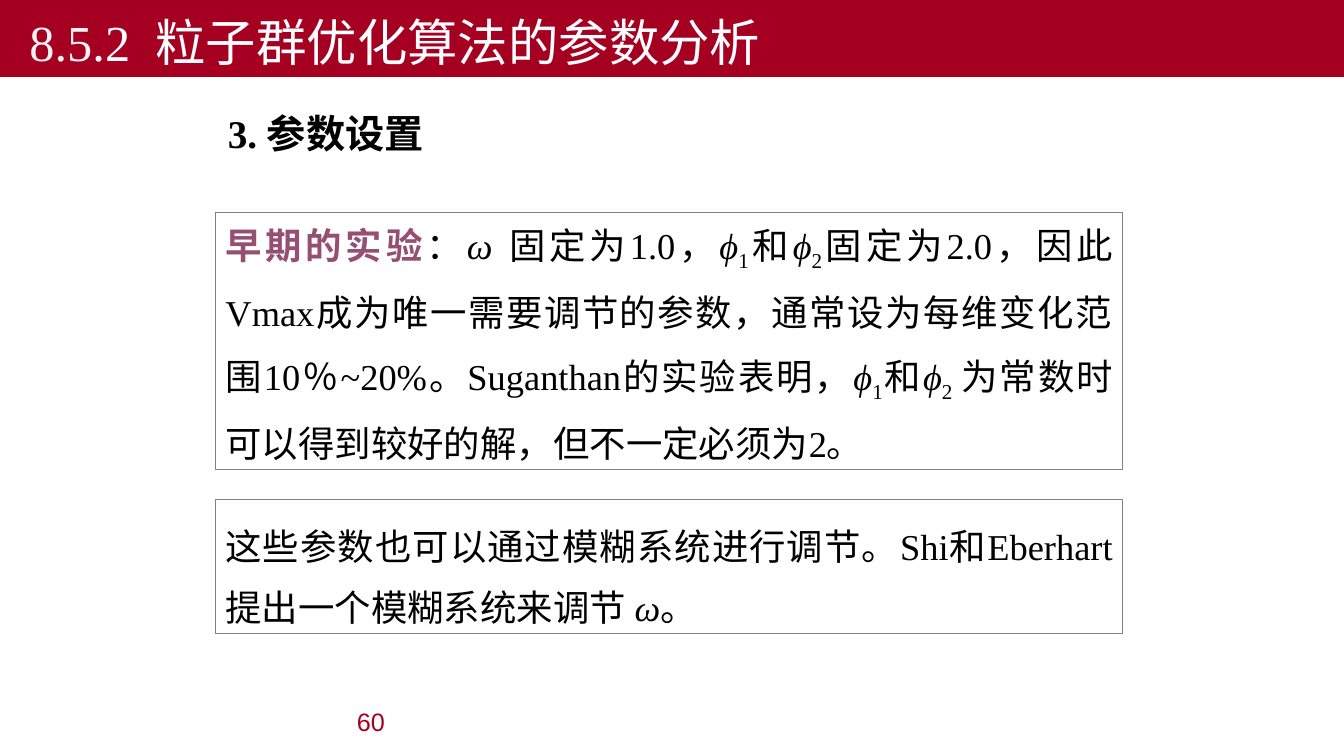
from dataclasses import dataclass

from lxml import etree
from pptx import Presentation
from pptx.dml.color import RGBColor
from pptx.enum.shapes import MSO_SHAPE
from pptx.enum.text import MSO_ANCHOR, MSO_AUTO_SIZE, PP_ALIGN
from pptx.oxml.ns import qn
from pptx.util import Pt

RECT = MSO_SHAPE.RECTANGLE
LEFT, RIGHT, FULL = PP_ALIGN.LEFT, PP_ALIGN.RIGHT, PP_ALIGN.JUSTIFY
TOP, MID, LOW = MSO_ANCHOR.TOP, MSO_ANCHOR.MIDDLE, MSO_ANCHOR.BOTTOM
FIXED = MSO_AUTO_SIZE.NONE


@dataclass
class Theme:
    red: str = "A50021"
    pale: str = "F2F2F2"
    white: str = "FFFFFF"
    black: str = "000000"
    gray: str = "808080"
    plum: str = "954F72"
    serif: str = "Times New Roman"
    sans: str = "Arial"
    hans: str = "Noto Sans CJK SC"
    title: int = 36
    head: int = 28
    text: int = 26
    foot: int = 18


class Page:
    """Holds the theme and the current slide, and adds each kind of element."""

    def __init__(self, deck, theme):
        self.theme = theme
        self.slide = deck.slides.add_slide(deck.slide_layouts[1])

    def place(self, shape, box):
        for name, value in zip(("left", "top", "width", "height"), box):
            setattr(shape, name, Pt(value))

    def paint(self, shape, color):
        shape.fill.solid()
        shape.fill.fore_color.rgb = RGBColor.from_string(color)

    def letter(self, shape, runs, size, color, anchor, para, font=None):
        frame = shape.text_frame
        frame.word_wrap = True
        frame.auto_size = FIXED
        frame.vertical_anchor = anchor
        line = frame.paragraphs[0]
        for name, value in para.items():
            setattr(line, name, value)
        for text, style in runs:
            run = line.add_run()
            run.text = text
            look = {"size": Pt(size), "name": font or self.theme.serif,
                    "bold": False, "italic": False}
            look.update(style)
            tint = look.pop("color", color)
            base = look.pop("base", None)
            for name, value in look.items():
                setattr(run.font, name, value)
            run.font.color.rgb = RGBColor.from_string(tint)
            props = run._r.get_or_add_rPr()
            etree.SubElement(props, qn("a:ea")).set("typeface", self.theme.hans)
            if base:
                props.set("baseline", base)

    def title(self, runs, box):
        shape = self.slide.shapes.title
        self.place(shape, box)
        self.paint(shape, self.theme.red)
        shape.text_frame.margin_left = Pt(21)
        self.letter(shape, runs, self.theme.title, self.theme.white, LOW,
                    {"alignment": LEFT})

    def head(self, runs, box):
        shape = self.slide.placeholders[1]
        self.place(shape, box)
        self.letter(shape, runs, self.theme.head, self.theme.black, TOP,
                    {"line_spacing": 0.9, "space_before": Pt(10)})
        props = shape.text_frame.paragraphs[0]._p.get_or_add_pPr()
        for name in ("marL", "indent"):
            props.set(name, "0")
        etree.SubElement(props, qn("a:buNone"))

    def panel(self, runs, box):
        shape = self.slide.shapes.add_shape(RECT, *map(Pt, box))
        shape.shadow.inherit = False
        self.paint(shape, self.theme.white)
        shape.line.color.rgb = RGBColor.from_string(self.theme.gray)
        shape.line.width = Pt(0.75)
        self.letter(shape, runs, self.theme.text, self.theme.black, LOW,
                    {"alignment": FULL, "line_spacing": 1.4,
                     "space_before": Pt(13)})

    def number(self, text, box):
        shape = self.slide.shapes.add_textbox(*map(Pt, box))
        self.letter(shape, [(text, {})], self.theme.foot, self.theme.red, MID,
                    {"alignment": RIGHT}, self.theme.sans)


theme = Theme()
deck = Presentation()
deck.slide_width, deck.slide_height = Pt(960), Pt(540)
page = Page(deck, theme)

BOLD, SLANT, SUB = {"bold": True}, {"italic": True}, {"base": "-25000"}
HANS = {"name": theme.hans}
LEAD = {"bold": True, "color": theme.plum, **HANS}


def pair(tail):
    """Return the runs for both learning factors."""
    return [("ϕ", SLANT), ("1", SUB), ("和", {}), ("ϕ", SLANT), (tail, SUB)]


page.title([("8.5", {"color": theme.pale}), (".2  粒子群优化算法的参数分析", {})],
           (0, 0, 960, 55))
page.head([("3. 参数设置", BOLD)], (155.5, 78.5, 642, 149))
page.panel([("早期的实验", LEAD), ("：", HANS), ("ω ", SLANT),
            ("固定为1.0，", {}), *pair("2"),
            ("固定为2.0，因此Vmax成为唯一需要调节的参数，通常设为每维变化"
             "范围10％~20%。Suganthan的实验表明，", {}),
            *pair("2 "), ("为常数时可以得到较好的解，但不一定必须为2。", {})],
           (154, 152, 648, 183.5))
page.panel([("这些参数也可以通过模糊系统进行调节。Shi和Eberhart提出一个"
             "模糊系统来调节 ", {}), ("ω", SLANT), ("。", {})],
           (154, 357, 648, 95.5))
page.number("60", (66, 500.5, 216, 29))
deck.save("out.pptx")
